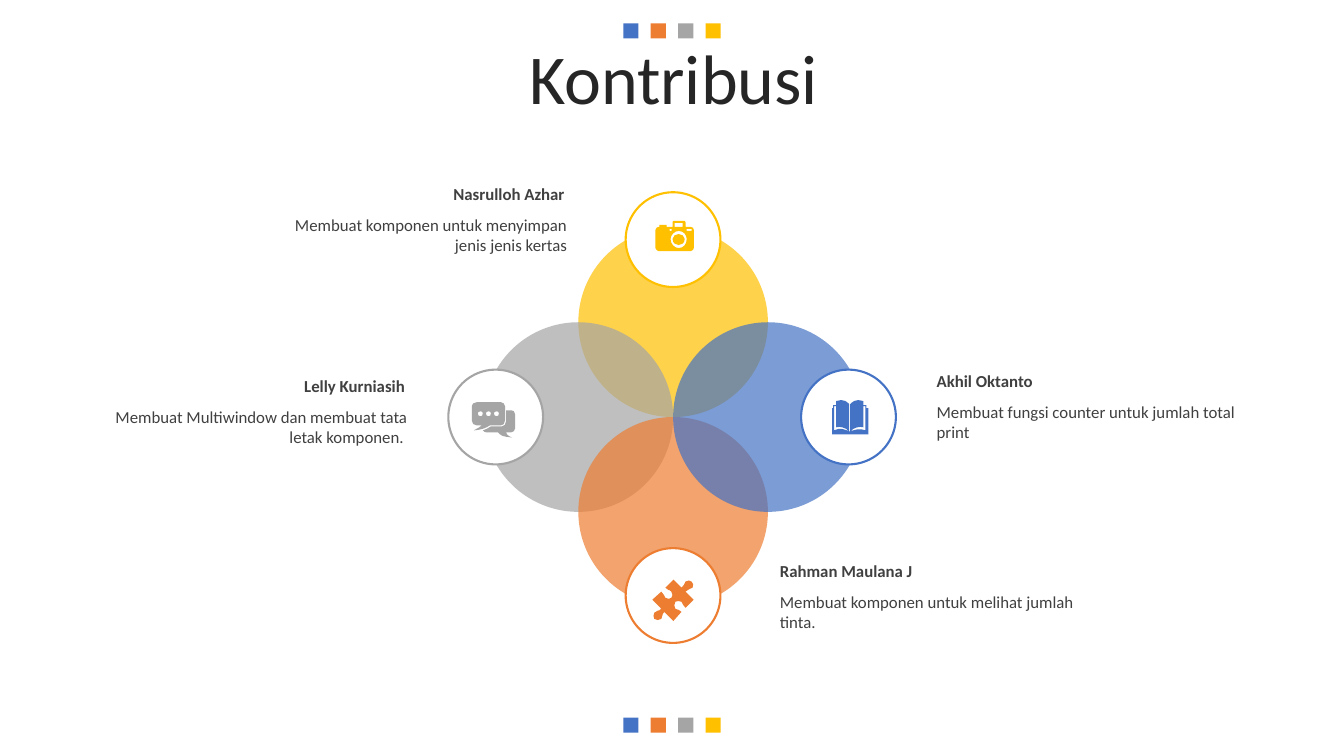
from pptx import Presentation
from pptx import util as u
from pptx.dml.color import RGBColor
from pptx.enum import shapes, text
from pptx.oxml import parse_xml
from pptx.oxml.ns import nsdecls

Pt = u.Pt
HUES = {"blue": "4472C4", "orange": "ED7D31", "gray": "A5A5A5", "gold": "FFC000",
        "white": "FFFFFF", "title": "262626", "body": "404040"}
UNIT = 0.72  # icon grid step in points

# Icon outlines: each string is one contour, L for lines, C for cubic curves
CAMERA = [
    "23 13 C 26 13 29 15 29 18 29 22 26 24 23 24 20 24 17 22 17 18 17 15 20 13 23 13",
    "23 10 C 19 10 15 14 15 18 15 23 19 27 23 27 28 27 31 23 31 18 31 14 28 10 23 10",
    "14 8 L 14 10 16 10 16 8",
    "31 8 L 31 10 36 10 36 8",
    "19 2 L 19 6 27 6 27 2",
    "18 0 L 29 0 C 29 0 30 1 30 2 L 30 6 35 6 C 37 6 38 7 38 9 L 38 27 "
    "C 38 28 37 30 35 30 L 3 30 C 2 30 0 28 0 27 L 0 9 C 0 7 2 6 3 6 "
    "L 4 6 4 4 C 4 4 4 4 5 4 L 10 4 C 10 4 11 4 11 4 L 11 6 17 6 17 2 C 17 1 17 0 18 0",
]
CHAT = [
    f"{x} 9 C {x - 2} 9 {x - 3} 10 {x - 3} 11 {x - 3} 13 {x - 2} 14 {x} 14 "
    f"{x + 1} 14 {x + 2} 13 {x + 2} 11 {x + 2} 10 {x + 1} 9 {x} 9" for x in (25, 17, 9)
] + [
    "34 8 L 39 8 C 41 8 43 9 43 12 L 43 26 C 43 28 41 30 39 30 L 34 30 "
    "C 35 32 35 33 40 35 31 34 30 34 26 30 L 15 30 C 13 30 12 29 11 28 "
    "14 27 16 26 19 24 L 30 24 C 32 24 34 22 34 19 L 34 8",
    "5 0 L 29 0 C 31 0 33 2 33 4 L 33 18 C 33 21 31 23 29 23 L 18 23 "
    "C 13 26 11 27 2 28 7 25 8 25 10 23 L 5 23 C 2 23 0 21 0 18 L 0 4 C 0 2 2 0 5 0",
]
PUZZLE = [
    "39 2 C 41 3 41 6 40 8 38 10 35 9 33 12 L 41 20 33 28 C 30 26 31 24 29 22 "
    "27 21 25 21 23 22 22 24 21 27 23 29 26 31 27 29 29 32 L 21 41 12 32 "
    "C 9 35 11 36 9 39 7 41 4 40 2 39 1 37 1 35 2 33 4 30 6 32 9 29 L 0 20 9 12 "
    "C 12 14 11 16 13 18 15 20 18 19 19 18 20 17 21 14 19 12 16 9 15 11 13 8 "
    "L 21 0 29 8 C 32 6 31 5 33 2 35 0 38 1 39 2",
]
BOOK = [
    "17 31 C 17 31 18 31 18 31 L 18 31 C 24 29 27 28 33 30 L 33 6 31 6 "
    "C 31 13 31 20 31 27 27 26 22 27 18 31 L 18 6 18 5 18 4 "
    "C 21 1 23 0 26 0 28 0 29 0 31 1 31 2 31 3 31 5 L 34 5 34 8 36 8 36 34 0 34 0 8 1 8 "
    "1 5 4 5 C 4 3 4 2 4 1 6 0 7 0 9 0 12 0 14 1 17 4 L 17 5 17 6 17 31 "
    "C 13 27 8 26 4 27 L 4 6 2 6 2 30 C 8 27 12 29 17 31",
]


def trace(path):
    """Split a contour string into its points and one mode letter per point."""
    nums, modes, mode = [], [], "L"
    for word in path.split():
        if word in "LC":
            mode = word
        else:
            nums.append(Pt(int(word) * UNIT))
            modes.append(mode)
    return list(zip(nums[::2], nums[1::2])), modes[::2]


class Deck:
    face = "Calibri"

    def __init__(self, wide, high):
        self.prs = Presentation()
        self.prs.slide_width, self.prs.slide_height = Pt(wide), Pt(high)
        self.page = self.prs.slides.add_slide(self.prs.slide_layouts[6]).shapes

    def hue(self, name):
        return RGBColor.from_string(HUES[name])

    def paint(self, item, fill, line=None, alpha=None):
        item.shadow.inherit = False
        item.fill.solid()
        item.fill.fore_color.rgb = self.hue(fill)
        if line:
            item.line.color.rgb = self.hue(line)
            item.line.width = Pt(1.5)
        else:
            item.line.fill.background()
        if alpha:
            tint = item.fill._xPr.find(".//{*}srgbClr")
            tint.append(parse_xml(f'<a:alpha {nsdecls("a")} val="{alpha * 1000}"/>'))

    def square(self, x, y, size, fill):
        kind = shapes.MSO_SHAPE.RECTANGLE
        self.paint(self.page.add_shape(kind, Pt(x), Pt(y), Pt(size), Pt(size)), fill)

    def disc(self, x, y, size, fill, line=None, alpha=None):
        kind = shapes.MSO_SHAPE.OVAL
        left, top = Pt(x - size / 2), Pt(y - size / 2)
        self.paint(self.page.add_shape(kind, left, top, Pt(size), Pt(size)), fill, line, alpha)

    def icon(self, x, y, paths, fill):
        loops = [trace(path) for path in paths]
        pen = self.page.build_freeform(*loops[0][0][0])
        for n, (pts, _) in enumerate(loops):
            if n:
                pen.move_to(*pts[0])
            pen.add_line_segments(pts[1:], close=True)
        item = pen.convert_to_shape(Pt(x), Pt(y))
        # Join each run of three curve points into one cubic segment
        steps = item._element.findall(".//{*}lnTo")
        modes = [m for _, marks in loops for m in marks[1:]]
        bend = None
        for step, mode in zip(steps, modes):
            if mode == "L":
                continue
            if bend is None or len(bend) == 3:
                bend = parse_xml(f'<a:cubicBezTo {nsdecls("a")}/>')
                step.addprevious(bend)
            bend.append(step[0])
            step.getparent().remove(step)
        self.paint(item, fill)

    def label(self, x, y, w, h, words, align, size=12, hue="body", bold=False):
        frame = self.page.add_textbox(Pt(x), Pt(y), Pt(w), Pt(h)).text_frame
        frame.word_wrap = True
        par = frame.paragraphs[0]
        par.text, par.alignment = words, align
        font = par.font
        font.name, font.size, font.bold = self.face, Pt(size), bold
        font.color.rgb = self.hue(hue)
        return frame


def main():
    deck = Deck(960, 540)
    side = text.PP_ALIGN

    # Rows of squares at the top and bottom
    for y in (16.6, 512.6):
        for n, hue in enumerate(("blue", "orange", "gray", "gold")):
            deck.square(445.2, y, 10.8, hue) if n == 0 else deck.square(
                445.2 + 19.6 * n, y, 10.8, hue)

    # Title
    frame = deck.label(25.5, 31.7, 911.5, 56.9, "Kontribusi", side.CENTER, 50, "title")
    frame.vertical_anchor = text.MSO_ANCHOR.MIDDLE
    frame.paragraphs[0].line_spacing = 0.8
    frame.paragraphs[0].space_before = Pt(10)

    # Petals, then badges further out in the same directions
    midx, midy, big = 480.8, 297.9, 135.4
    ways = {"gold": (0, -1, 126.7), "gray": (-1, 0, 126.7),
            "orange": (0, 1, 127.5), "blue": (1, 0, 125.3)}
    for hue, (dx, dy, _) in ways.items():
        deck.disc(midx + dx * big / 2, midy + dy * big / 2, big, hue, alpha=70)
    for hue, (dx, dy, far) in ways.items():
        deck.disc(midx + dx * far, midy + dy * far, big / 2, "white", line=hue)

    # Names and tasks
    for x, y, w, align, name, task in (
        (186.8, 127.4, 225.4, side.RIGHT, "Nasrulloh Azhar",
         "Membuat komponen untuk menyimpan jenis jenis kertas"),
        (70.7, 264.8, 227.5, side.RIGHT, "Lelly Kurniasih",
         "Membuat Multiwindow dan membuat tata letak komponen. "),
        (550, 396.8, 225.4, side.LEFT, "Rahman Maulana J",
         "Membuat komponen untuk melihat jumlah tinta."),
        (662, 261.2, 227.5, side.LEFT, "Akhil Oktanto",
         "Membuat fungsi counter untuk jumlah total print"),
    ):
        deck.label(x, y + 22.2, w, 36, task, align)
        deck.label(x, y, w - 1.8, 21.6, name, align, bold=True)

    # Icons
    deck.icon(465.9, 414, PUZZLE, "orange")
    deck.icon(594.4, 285.8, BOOK, "blue")
    deck.icon(337, 287.3, CHAT, "gray")
    deck.icon(468.2, 157.8, CAMERA, "gold")

    deck.prs.save("out.pptx")


if __name__ == "__main__":
    main()
